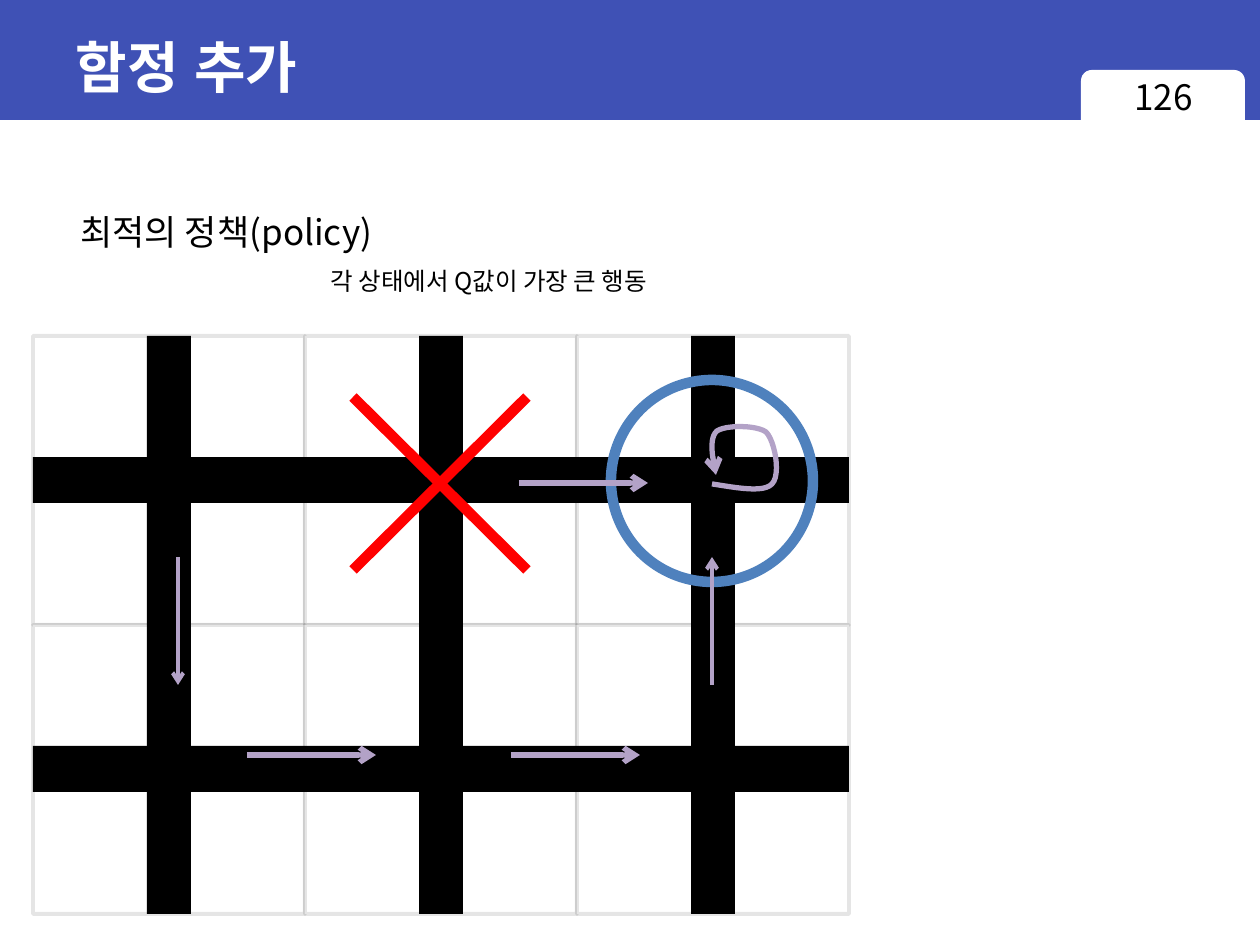
from itertools import product

from lxml.etree import SubElement
from pptx import Presentation
from pptx.dml.color import RGBColor
from pptx.enum.shapes import MSO_CONNECTOR, MSO_SHAPE as SHAPE
from pptx.enum.text import MSO_ANCHOR, MSO_AUTO_SIZE, PP_ALIGN as ALIGN
from pptx.oxml.ns import qn
from pptx.util import Pt

PX = 914400 / 126
WHITE = RGBColor(0xFF, 0xFF, 0xFF)
BLACK = RGBColor(0, 0, 0)
INDIGO = RGBColor(0x3F, 0x51, 0xB5)
BLUE = RGBColor(0x4F, 0x81, 0xBD)
LILAC = RGBColor(0xB3, 0xA2, 0xC7)
RED = RGBColor(0xFF, 0, 0)
BODY_FONT = "Noto Sans CJK KR"

COLUMNS, ROWS = 3, 2
CELL_W, CELL_H = 272, 289
ARROWS = [  # start, end, line width
    ((214, 419), (343, 419), 3),
    ((478, 419), (607, 419), 3),
    ((486, 147), (615, 147), 3),
    ((145, 221), (145, 349), 2.25),
    ((679, 349), (679, 221), 2.25),
]
LOOP_START = (679, 148)
LOOP_CURVES = [  # two control points and an end point each
    ((704, 152), (731, 157), (739, 148)),
    ((748, 139), (742, 105), (733, 96)),
    ((723, 89), (693, 89), (684, 95)),
    ((676, 102), (679, 120), (683, 139)),
]


def emu(*lengths):
    return [round(length * PX) for length in lengths]


def add_shape(shapes, kind, box, fill=None, line=None, width=0):
    shape = shapes.add_shape(kind, *emu(*box))
    shape.shadow.inherit = False
    if fill is None:
        shape.fill.background()
    else:
        shape.fill.solid()
        shape.fill.fore_color.rgb = fill
    if line is None:
        shape.line.fill.background()
    else:
        shape.line.color.rgb = line
        shape.line.width = Pt(width)
    return shape


def add_line(shapes, start, end, color, width):
    line = shapes.add_connector(MSO_CONNECTOR.STRAIGHT, *emu(*start, *end))
    line.line.color.rgb = color
    line.line.width = Pt(width)
    SubElement(line._element.spPr, qn("a:effectLst"))
    return line


def add_arrowhead(shape):
    SubElement(shape.line._get_or_add_ln(), qn("a:tailEnd"), type="arrow")


def write(frame, text, size, color, font_name, align=ALIGN.LEFT, bold=False):
    para = frame.paragraphs[0]
    para.text = text
    para.alignment = align
    font = para.font
    font.size, font.bold, font.name = Pt(size), bold, font_name
    font.color.rgb = color
    SubElement(font._rPr, qn("a:ea"), typeface=font_name)


def add_text(page, box, text, size, align=ALIGN.LEFT, wrap=False):
    frame = page.shapes.add_textbox(*emu(*box)).text_frame
    frame.word_wrap = wrap
    if not wrap:
        frame.auto_size = MSO_AUTO_SIZE.SHAPE_TO_FIT_TEXT
    write(frame, text, size, BLACK, BODY_FONT, align)


def add_header(page, left, top, width, height):
    add_shape(page.shapes, SHAPE.RECTANGLE, (left, top, width, height), INDIGO)
    tab_left = left + width - 179
    tab = add_shape(page.shapes, SHAPE.ROUNDED_RECTANGLE,
                    (tab_left, top + 70, 164, 65), WHITE)

    title = page.shapes.title
    title.left, title.top, title.width, title.height = emu(
        left + 63, top + 14, width - 126, 105)
    title.text_frame.vertical_anchor = MSO_ANCHOR.MIDDLE
    write(title.text_frame, "함정 추가", 32, WHITE, "Arial", bold=True)
    tab._element.addnext(title._element)  # bring the title in front of the bar

    add_text(page, (tab_left, top + 69, 165, 66), "126", 20, ALIGN.CENTER, wrap=True)


def add_road_grid(page, left, top):
    shapes = page.shapes.add_group_shape().shapes
    corners = [(left + column * CELL_W, top + row * CELL_H)
               for row, column in product(range(ROWS), range(COLUMNS))]
    for x, y in corners:
        cell = add_shape(shapes, SHAPE.RECTANGLE, (x, y, CELL_W, CELL_H),
                         WHITE, BLACK, 2.25)
        line_color = cell.line._ln.find(".//" + qn("a:srgbClr"))
        SubElement(line_color, qn("a:alpha"), val="10000")
    for x, y in corners:
        add_shape(shapes, SHAPE.RECTANGLE, (x + 114, y, 44, CELL_H), BLACK)
        add_shape(shapes, SHAPE.RECTANGLE, (x, y + 121, CELL_W, 46), BLACK)


def curve_points(start, curves, steps=12):
    """Points along a chain of cubic Bézier curves, after the start."""
    points = []
    for first, second, end in curves:
        for step in range(1, steps + 1):
            t = step / steps
            u = 1 - t
            points.append(tuple(
                u**3 * a + 3 * u * u * t * b + 3 * u * t * t * c + t**3 * d
                for a, b, c, d in zip(start, first, second, end)))
        start = end
    return points


def add_policy(page, left, top):
    """Goal circle, moves between cells, the stay loop and the trap cross."""
    def at(point):
        return left + point[0], top + point[1]

    add_shape(page.shapes, SHAPE.OVAL, (*at((578, 44)), 202, 202), line=BLUE, width=6)
    for start, end, width in ARROWS:
        add_arrowhead(add_line(page.shapes, at(start), at(end), LILAC, width))

    builder = page.shapes.build_freeform(*emu(*at(LOOP_START)))
    builder.add_line_segments(
        [emu(*at(point)) for point in curve_points(LOOP_START, LOOP_CURVES)],
        close=False)
    loop = builder.convert_to_shape()
    loop.shadow.inherit = False
    loop.fill.background()
    loop.line.color.rgb = LILAC
    loop.line.width = Pt(3)
    add_arrowhead(loop)

    cross = page.shapes.add_group_shape().shapes
    add_line(cross, at((494, 61)), at((320, 234)), RED, 6)
    add_line(cross, at((320, 61)), at((494, 234)), RED, 6)


def add_captions(page, left, top):
    add_text(page, (left, top, 330, 55), "최적의 정책(policy)", 20)
    add_text(page, (left + 250, top + 56, 384, 43), "각 상태에서 Q값이 가장 큰 행동", 14)


def main():
    deck = Presentation()
    deck.slide_width, deck.slide_height = emu(1260, 945)
    page = deck.slides.add_slide(deck.slide_layouts[5])
    add_header(page, 0, 0, 1260, 120)
    add_road_grid(page, 33, 336)
    add_policy(page, 33, 336)
    add_captions(page, 68, 204)
    deck.save("out.pptx")


if __name__ == "__main__":
    main()
